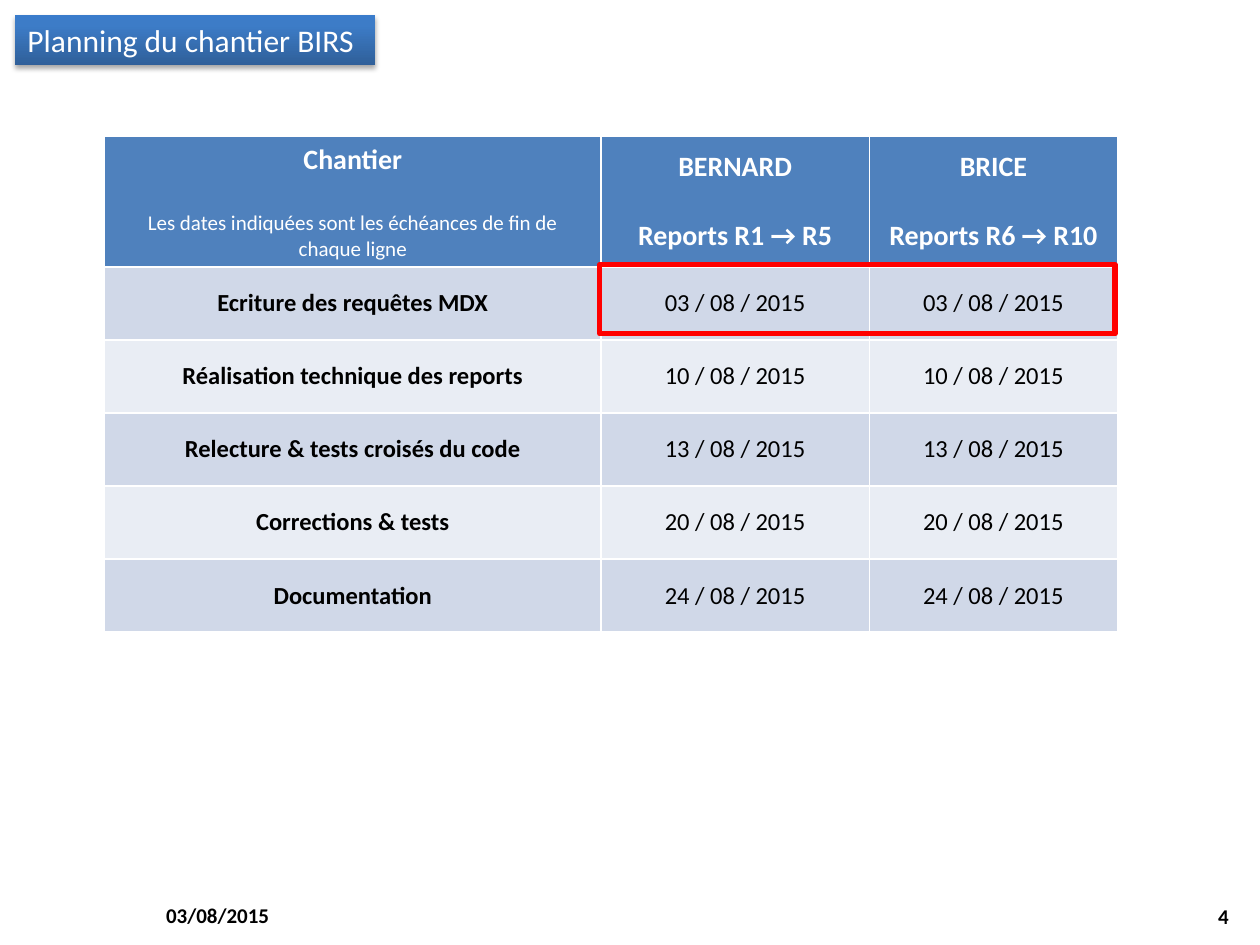
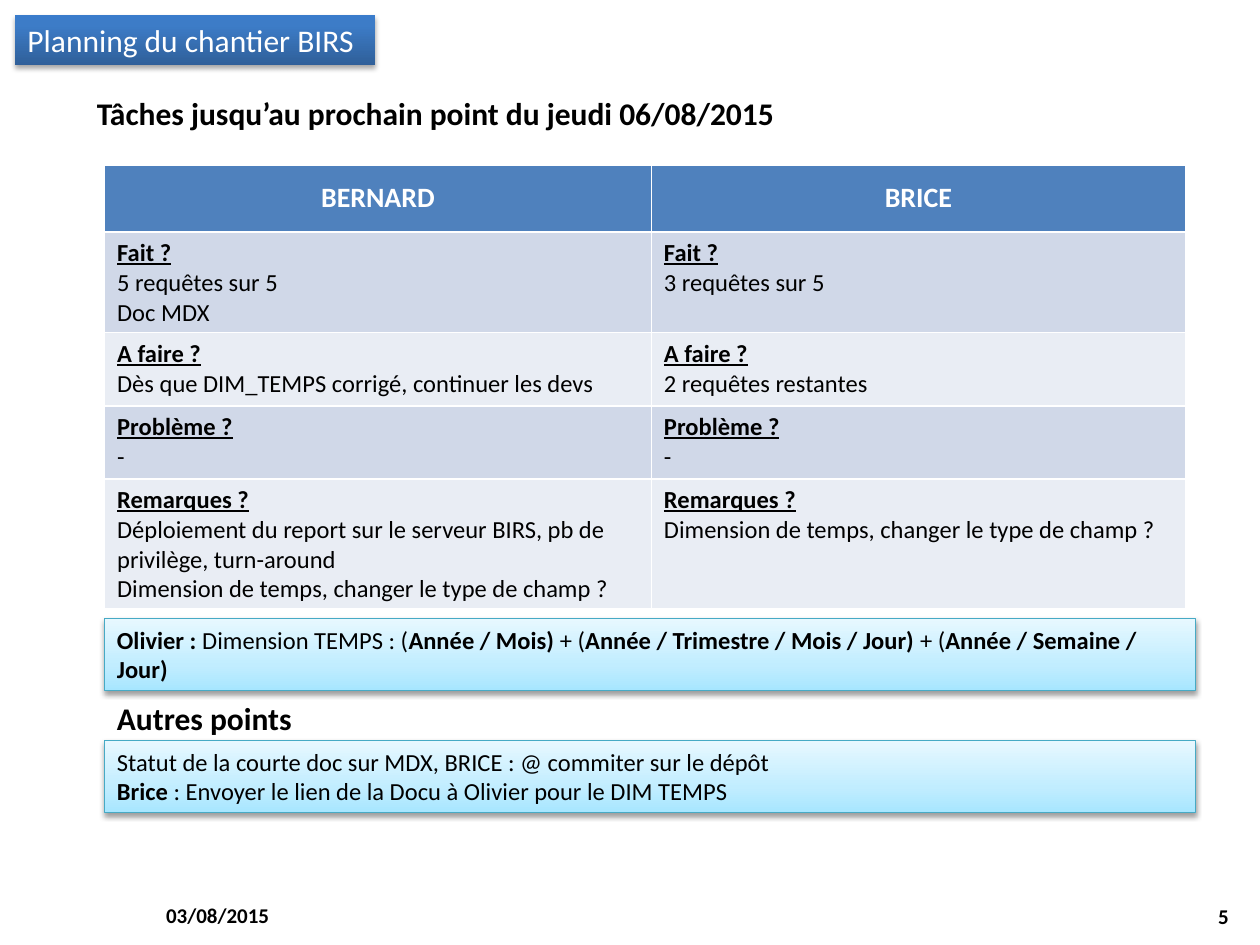
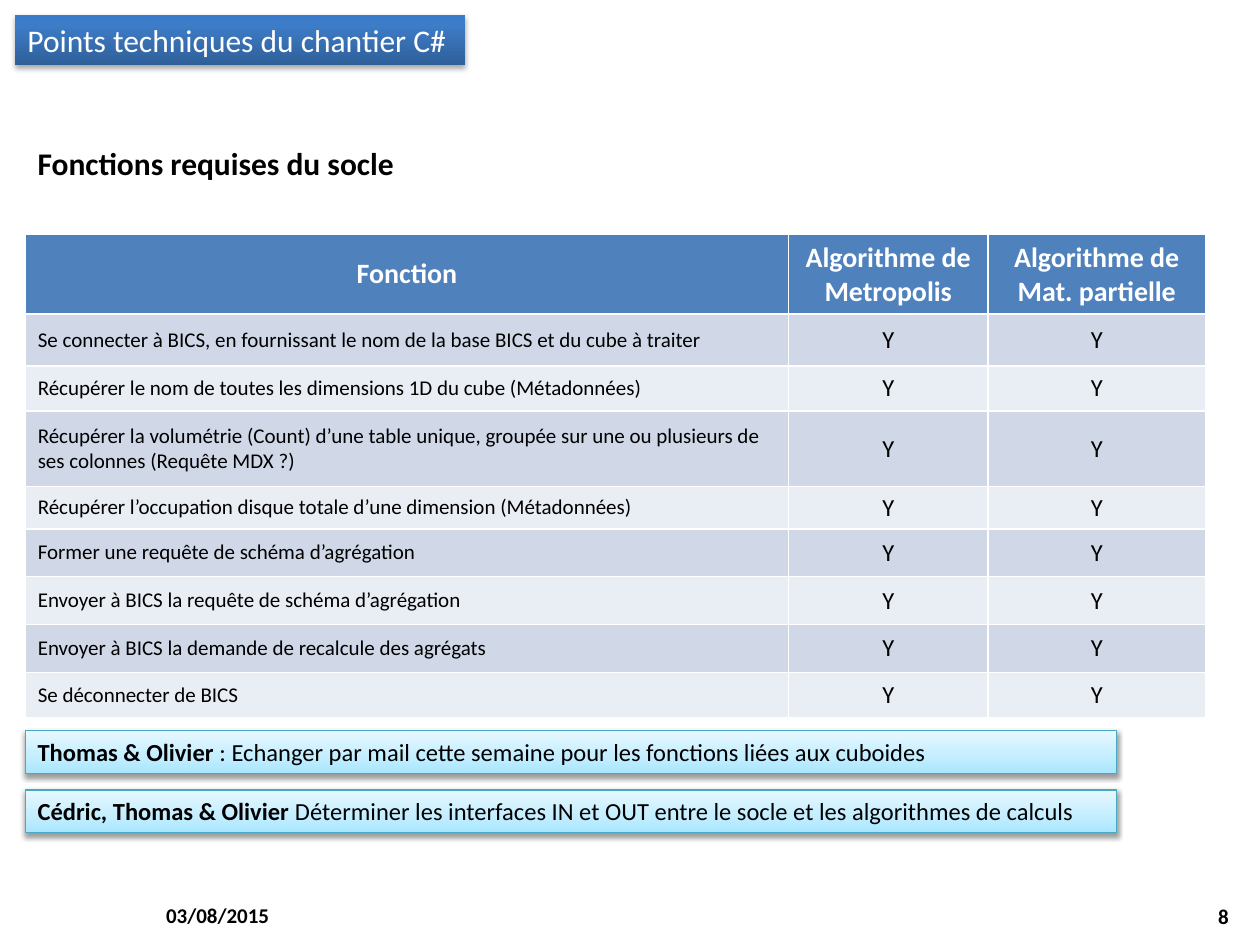
from lxml.etree import SubElement
from pptx import Presentation
from pptx.dml.color import RGBColor
from pptx.enum.shapes import MSO_SHAPE as Shape
from pptx.enum.text import MSO_ANCHOR as Anchor, PP_ALIGN as Align
from pptx.oxml.ns import qn
from pptx.util import Inches, Pt

FONT = "Calibri"
COLORS = {
    "text": "000000", "header_text": "FFFFFF", "header": "4F81BD",
    "odd_row": "D0D8E8", "even_row": "E9EDF4",
    "note_line": "46AAC5", "highlight": "FF0000", "shadow": "000000",
}
BOX_STYLES = {
    "title": {"stops": [(0, "2F5F99"), (80, "3D7CC7"), (100, "3A7CCB")],
              "text": "header_text", "size": 18, "line": None,
              "distance": 1.8, "opacity": 35},
    "note": {"stops": [(0, "A7E6FF"), (35, "C1EDFF"), (100, "E7F8FF")],
             "text": "text", "size": 14, "line": "note_line",
             "distance": 1.6, "opacity": 38},
}

# Grid of 100 columns by 75 rows; all places below are counted in its cells.
presentation = Presentation()
presentation.slide_width, presentation.slide_height = Inches(10), Inches(7.5)
COLUMN = presentation.slide_width // 100
ROW = presentation.slide_height // 75

DATES = ["03 / 08 / 2015", "10 / 08 / 2015", "13 / 08 / 2015",
         "20 / 08 / 2015", "24 / 08 / 2015"]
STEPS = ["Ecriture des requêtes MDX", "Réalisation technique des reports",
         "Relecture & tests croisés du code", "Corrections & tests",
         "Documentation"]
FUNCTIONS = [
    "Se connecter à BICS, en fournissant le nom de la base BICS et du cube à traiter",
    "Récupérer le nom de toutes les dimensions 1D du cube (Métadonnées)",
    "Récupérer la volumétrie (Count) d’une table unique, groupée sur une ou "
    "plusieurs de ses colonnes (Requête MDX ?)",
    "Récupérer l’occupation disque totale d’une dimension (Métadonnées)",
    "Former une requête de schéma d’agrégation",
    "Envoyer à BICS la requête de schéma d’agrégation",
    "Envoyer à BICS la demande de recalcule des agrégats",
    "Se déconnecter de BICS",
]

# In texts, ** switches bold on and off and a line break starts a paragraph.
SLIDES = [
    {
        "number": 4, "title": "Planning du chantier BIRS", "title_width": 28.6,
        "headings": [], "notes": [], "highlight": (47.6, 21, 40.9, 5.5),
        "table": {
            "corner": (8.3, 10.8), "columns": [39.4, 21.3, 19.7],
            "rows": [10.2] + [5.8] * 5, "sizes": [14, 14, 14],
            "aligns": [Align.CENTER] * 3, "anchor": Anchor.MIDDLE,
            "underline": False,
            "cells": [["**Chantier**\nLes dates indiquées sont les échéances "
                       "de fin de chaque ligne",
                       "**BERNARD**\n**Reports R1 → R5**",
                       "**BRICE**\n**Reports R6 → R10**"]]
            + [[f"**{step}**", date, date] for step, date in zip(STEPS, DATES)],
        },
    },
    {
        "number": 5, "title": "Planning du chantier BIRS", "title_width": 28.6,
        "headings": [
            ("Tâches jusqu’au prochain point du jeudi 06/08/2015", (6.7, 7, 56.3, 4)),
            ("Autres points", (8.3, 55, 16, 4)),
        ],
        "notes": [
            ("**Olivier : **Dimension TEMPS : (**Année / Mois)** + (**Année / "
             "Trimestre / Mois / Jour) **+ (**Année / Semaine / Jour)**",
             (8.3, 49.1, 86.6, 5.7)),
            ("Statut de la courte doc sur MDX, BRICE : @ commiter sur le dépôt\n"
             "**Brice** : Envoyer le lien de la Docu à Olivier pour le DIM TEMPS",
             (8.3, 58.8, 86.6, 5.7)),
        ],
        "highlight": None,
        "table": {
            "corner": (8.3, 13.1), "columns": [43.4, 42.4],
            "rows": [5.3] + [5.8] * 4, "sizes": [14, 14],
            "aligns": [Align.LEFT] * 2, "anchor": Anchor.TOP,
            "underline": True,
            "cells": [
                ["**BERNARD**", "**BRICE**"],
                ["**Fait ?**\n5 requêtes sur 5\nDoc MDX",
                 "**Fait ?**\n3 requêtes sur 5"],
                ["**A faire ?**\nDès que DIM_TEMPS corrigé, continuer les devs",
                 "**A faire ?**\n2 requêtes restantes"],
                ["**Problème ?**\n-"] * 2,
                ["**Remarques ?**\nDéploiement du report sur le serveur BIRS, pb "
                 "de privilège, turn-around\n"
                 "Dimension de temps, changer le type de champ ?",
                 "**Remarques ?**\nDimension de temps, changer le type de champ ?"],
            ],
        },
    },
    {
        "number": 8, "title": "Points techniques du chantier C#", "title_width": 35.7,
        "headings": [("Fonctions requises du socle", (2, 10.9, 31.4, 4))],
        "notes": [
            ("**Thomas & Olivier **: Echanger par mail cette semaine pour les "
             "fonctions liées aux cuboides", (2, 58, 86.6, 3.4)),
            ("**Cédric, Thomas & Olivier **Déterminer les interfaces IN et OUT "
             "entre le socle et les algorithmes de calculs", (2, 62.7, 86.6, 3.4)),
        ],
        "highlight": None,
        "table": {
            "corner": (2, 18.6), "columns": [60.6, 15.8, 17.3],
            "rows": [6, 4.1, 3.6, 6, 3, 3.8, 3.8, 3.8, 3.6], "sizes": [12, 14, 14],
            "aligns": [Align.LEFT, Align.CENTER, Align.CENTER],
            "anchor": Anchor.MIDDLE, "underline": False,
            "cells": [["**Fonction**", "**Algorithme de Metropolis**",
                       "**Algorithme de Mat. partielle**"]]
            + [[function, "Y", "Y"] for function in FUNCTIONS],
        },
    },
]


def place(left, top, width, height):
    """Turn grid cells into slide lengths."""
    return (int(left * COLUMN), int(top * ROW), int(width * COLUMN), int(height * ROW))


def write(frame, text, size, color="text", align=Align.LEFT):
    """Fill a text frame, one paragraph a line, with ** around bold runs."""
    for index, line in enumerate(text.split("\n")):
        paragraph = frame.add_paragraph() if index else frame.paragraphs[0]
        paragraph.alignment = align
        paragraph.font.name = FONT
        paragraph.font.size = Pt(size)
        paragraph.font.color.rgb = RGBColor.from_string(COLORS[color])
        for part, words in enumerate(line.split("**")):
            if words:
                run = paragraph.add_run()
                run.text = words
                run.font.bold = part % 2 == 1


for content in SLIDES:
    slide = presentation.slides.add_slide(presentation.slide_layouts[6])

    # Footer and headings
    labels = [("03/08/2015", (12.2, 70.6, 23.3, 4), 12, Align.LEFT),
              (str(content["number"]), (75.2, 70.7, 23.3, 4), 12, Align.RIGHT)]
    labels += [(text, area, 18, Align.LEFT) for text, area in content["headings"]]
    for text, area, size, align in labels:
        frame = slide.shapes.add_textbox(*place(*area)).text_frame
        frame.word_wrap = size == 12
        frame.vertical_anchor = Anchor.MIDDLE
        write(frame, f"**{text}**", size, align=align)

    # Table
    spec = content["table"]
    area = place(*spec["corner"], sum(spec["columns"]), sum(spec["rows"]))
    table = slide.shapes.add_table(len(spec["rows"]), len(spec["columns"]), *area).table
    for column, width in zip(table.columns, spec["columns"]):
        column.width = int(width * COLUMN)
    for row_index, texts in enumerate(spec["cells"]):
        table.rows[row_index].height = int(spec["rows"][row_index] * ROW)
        for column_index, text in enumerate(texts):
            cell = table.cell(row_index, column_index)
            paragraphs = cell.text_frame.paragraphs
            cell.fill.solid()
            if row_index == 0:
                fill = "header"
                cell.vertical_anchor = Anchor.MIDDLE
                write(cell.text_frame, text, 16, "header_text", Align.CENTER)
                for paragraph in cell.text_frame.paragraphs[1:]:
                    paragraph.space_before = Pt(19.5)
                    if column_index == 0:
                        paragraph.font.size = Pt(12)
            else:
                fill = "odd_row" if row_index % 2 else "even_row"
                cell.vertical_anchor = spec["anchor"]
                write(cell.text_frame, text, spec["sizes"][column_index],
                      align=spec["aligns"][column_index])
                if spec["underline"]:
                    paragraphs[0].runs[0].font.underline = True
            cell.fill.fore_color.rgb = RGBColor.from_string(COLORS[fill])

    # Title band and notes
    boxes = [(content["title"], (1.2, 1.2, content["title_width"], 4), "title")]
    boxes += [(text, area, "note") for text, area in content["notes"]]
    for text, area, kind in boxes:
        style = BOX_STYLES[kind]
        box = slide.shapes.add_shape(Shape.RECTANGLE, *place(*area))
        box.fill.gradient()
        box.fill.gradient_angle = 90
        properties = box._element.spPr
        stops = properties.find(".//" + qn("a:gsLst"))
        stops.clear()
        for position, color in style["stops"]:
            stop = SubElement(stops, qn("a:gs"), pos=str(position * 1000))
            SubElement(stop, qn("a:srgbClr"), val=color)
        if style["line"]:
            box.line.color.rgb = RGBColor.from_string(COLORS[style["line"]])
            box.line.width = Pt(0.75)
        else:
            box.line.fill.background()
        box.shadow.inherit = False
        shadow = SubElement(properties.find(qn("a:effectLst")), qn("a:outerShdw"),
                            blurRad=str(Pt(3.1)), dist=str(Pt(style["distance"])),
                            dir="5400000", rotWithShape="0")
        shade = SubElement(shadow, qn("a:srgbClr"), val=COLORS["shadow"])
        SubElement(shade, qn("a:alpha"), val=str(style["opacity"] * 1000))
        box.text_frame.word_wrap = kind == "note"
        box.text_frame.vertical_anchor = Anchor.TOP
        write(box.text_frame, text, style["size"], style["text"])

    if content["highlight"]:
        frame_box = slide.shapes.add_shape(Shape.RECTANGLE, *place(*content["highlight"]))
        frame_box.fill.background()
        frame_box.line.color.rgb = RGBColor.from_string(COLORS["highlight"])
        frame_box.line.width = Pt(3)
        frame_box.shadow.inherit = False

presentation.save("out.pptx")
